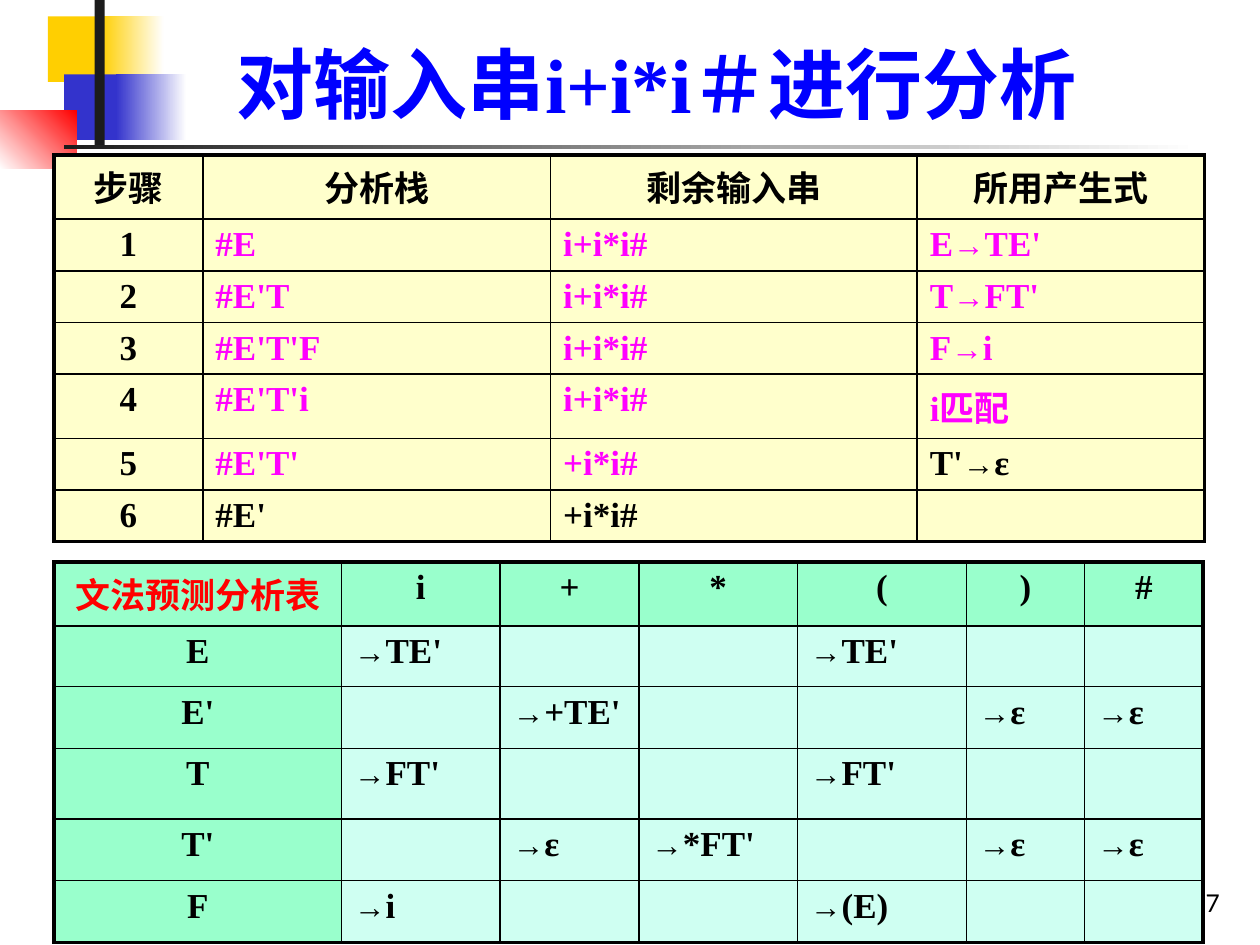
"""Build a slide tracing a predictive parse above its parsing table."""
from lxml.etree import SubElement
from pptx import Presentation
from pptx.dml.color import RGBColor
from pptx.enum.shapes import MSO_SHAPE
from pptx.enum.text import MSO_ANCHOR, MSO_AUTO_SIZE, PP_ALIGN
from pptx.oxml.ns import qn
from pptx.util import Inches, Pt

BLACK = RGBColor(0x00, 0x00, 0x00)
WHITE = RGBColor(0xFF, 0xFF, 0xFF)
INK = RGBColor(0x1C, 0x1C, 0x1C)
GOLD = RGBColor(0xFF, 0xCF, 0x01)
INDIGO = RGBColor(0x33, 0x33, 0xCC)
RED = RGBColor(0xFF, 0x00, 0x00)
BLUE = RGBColor(0x00, 0x00, 0xFF)
MAGENTA = RGBColor(0xFF, 0x00, 0xFF)
CREAM = RGBColor(0xFF, 0xFF, 0xCC)
MINT = RGBColor(0x99, 0xFF, 0xCC)
PALE = RGBColor(0xCF, 0xFF, 0xF2)

FONT = "Times New Roman"
TITLE = "对输入串i+i*i＃进行分析"
PAGE = "47"
DECOR = [
    ((0.38, 0.13, 0.67, 0.52), [GOLD], 0),
    ((0.8, 0.13, 0.5, 0.52), [GOLD, WHITE], 0),
    ((0.51, 0.59, 0.64, 0.52), [INDIGO], 0),
    ((0.92, 0.59, 0.56, 0.52), [INDIGO, WHITE], 0),
    ((0, 0.88, 0.61, 0.46), [WHITE, RED], 45),
    ((0.75, 0, 0.08, 1.15), [INK], 0),
    ((0.51, 1.15, 9, 0.03), [INK, WHITE], 0),
]
STEPS = [
    ["步骤", "分析栈", "剩余输入串", "所用产生式"],
    ["1", "#E", "i+i*i#", "E→TE'"],
    ["2", "#E'T", "i+i*i#", "T→FT'"],
    ["3", "#E'T'F", "i+i*i#", "F→i"],
    ["4", "#E'T'i", "i+i*i#", "i匹配"],
    ["5", "#E'T'", "+i*i#", "T'→ε"],
    ["6", "#E'", "+i*i#", ""],
]
STEP_COLS = [1.18, 2.76, 2.91, 2.28]
STEP_ROWS = [0.51, 0.41, 0.41, 0.41, 0.51, 0.41, 0.41]
DONE_CELLS = 14
GRAMMAR = [
    ["文法预测分析表", "i", "+", "*", "(", ")", "#"],
    ["E", "→TE'", "", "", "→TE'", "", ""],
    ["E'", "", "→+TE'", "", "", "→ε", "→ε"],
    ["T", "→FT'", "", "", "→FT'", "", ""],
    ["T'", "", "→ε", "→*FT'", "", "→ε", "→ε"],
    ["F", "→i", "", "", "→(E)", "", ""],
]
GRAMMAR_COLS = [2.28, 1.26, 1.1, 1.26, 1.34, 0.94, 0.94]
GRAMMAR_ROWS = [0.51, 0.48, 0.49, 0.56, 0.49, 0.49]


def style(r, size, color, name=FONT, bold=True):
    r.font.name, r.font.size, r.font.bold = name, Pt(size), bold
    r.font.color.rgb = color


def add_decor(s, box, colors, angle):
    sp = s.shapes.add_shape(MSO_SHAPE.RECTANGLE, *map(Inches, box))
    sp.shadow.inherit = False
    sp.line.fill.background()
    if len(colors) == 1:
        sp.fill.solid()
        sp.fill.fore_color.rgb = colors[0]
        return
    sp.fill.gradient()
    sp.fill.gradient_angle = angle
    for stop, color in zip(sp.fill.gradient_stops, colors):
        stop.color.rgb = color


def set_borders(cell, outer):
    tcPr = cell._tc.get_or_add_tcPr()
    for side, is_outer in zip("LRTB", outer):
        ln = SubElement(tcPr, qn(f"a:ln{side}"), w=str(Pt(2.25 if is_outer else 1)))
        fill = SubElement(ln, qn("a:solidFill"))
        SubElement(fill, qn("a:srgbClr"), val=str(BLACK))


def write_cell(cell, text, centred, color):
    p = cell.text_frame.paragraphs[0]
    p.alignment = PP_ALIGN.CENTER if centred else PP_ALIGN.LEFT
    before, arrow, after = text.partition("→")
    for part in filter(None, (before, arrow, after)):
        r = p.add_run()
        r.text = part
        style(r, 18 if part == "→" else 20, color)


def add_grid(s, top, data, cols, rows, fill_of, color_of):
    frame = s.shapes.add_table(len(rows), len(cols), Inches(0.43), Inches(top),
                               Inches(sum(cols)), Inches(sum(rows)))
    table = frame.table
    table.first_row = table.horz_banding = False
    for col, width in zip(table.columns, cols):
        col.width = Inches(width)
    for row, height in zip(table.rows, rows):
        row.height = Inches(height)
    for i, texts in enumerate(data):
        for j, text in enumerate(texts):
            cell = table.cell(i, j)
            set_borders(cell, (j == 0, j == len(cols) - 1, i == 0, i == len(rows) - 1))
            cell.fill.solid()
            cell.fill.fore_color.rgb = fill_of(i, j)
            write_cell(cell, text, i == 0 or j == 0, color_of(i, j))


def step_color(i, j):
    done = i > 0 and j > 0 and (i - 1) * 3 + j <= DONE_CELLS
    return MAGENTA if done else BLACK


def main():
    prs = Presentation()
    prs.slide_width, prs.slide_height = Inches(10), Inches(7.5)
    s = prs.slides.add_slide(prs.slide_layouts[5])
    for box, colors, angle in DECOR:
        add_decor(s, box, colors, angle)

    page = s.shapes.add_textbox(Inches(7.7), Inches(6.83), Inches(2.08), Inches(0.5))
    title = s.shapes.title
    title.left, title.top = Inches(1.26), Inches(0.23)
    title.width, title.height = Inches(7.91), Inches(0.84)
    for sp, text, align, look in (
        (page, PAGE, PP_ALIGN.RIGHT, (14, BLACK, "Lato", False)),
        (title, TITLE, PP_ALIGN.CENTER, (44, BLUE)),
    ):
        tf = sp.text_frame
        tf.text = text
        tf.word_wrap = True
        tf.auto_size = MSO_AUTO_SIZE.NONE
        tf.vertical_anchor = MSO_ANCHOR.BOTTOM
        tf.paragraphs[0].alignment = align
        style(tf.paragraphs[0].runs[0], *look)

    add_grid(s, 4.46, GRAMMAR, GRAMMAR_COLS, GRAMMAR_ROWS,
             lambda i, j: PALE if i and j else MINT,
             lambda i, j: BLACK if i or j else RED)
    add_grid(s, 1.23, STEPS, STEP_COLS, STEP_ROWS, lambda i, j: CREAM, step_color)
    prs.save("out.pptx")


if __name__ == "__main__":
    main()
